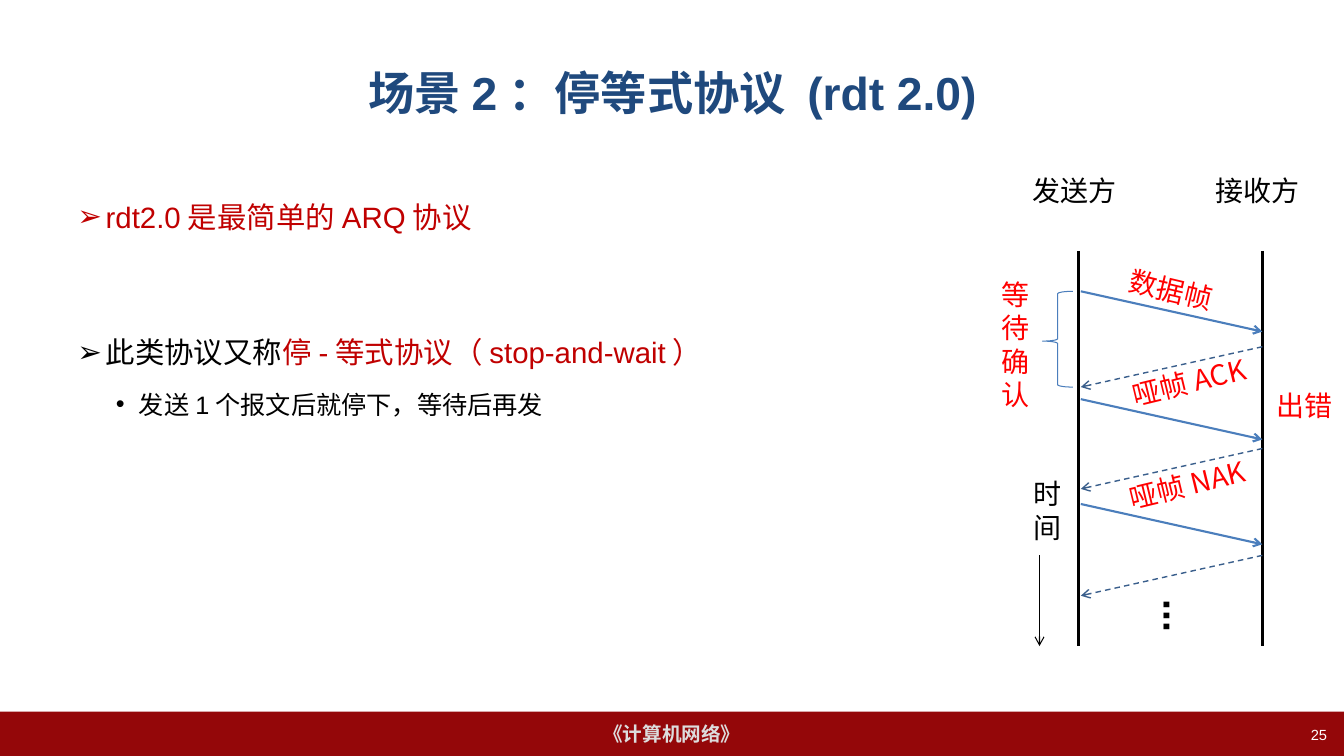
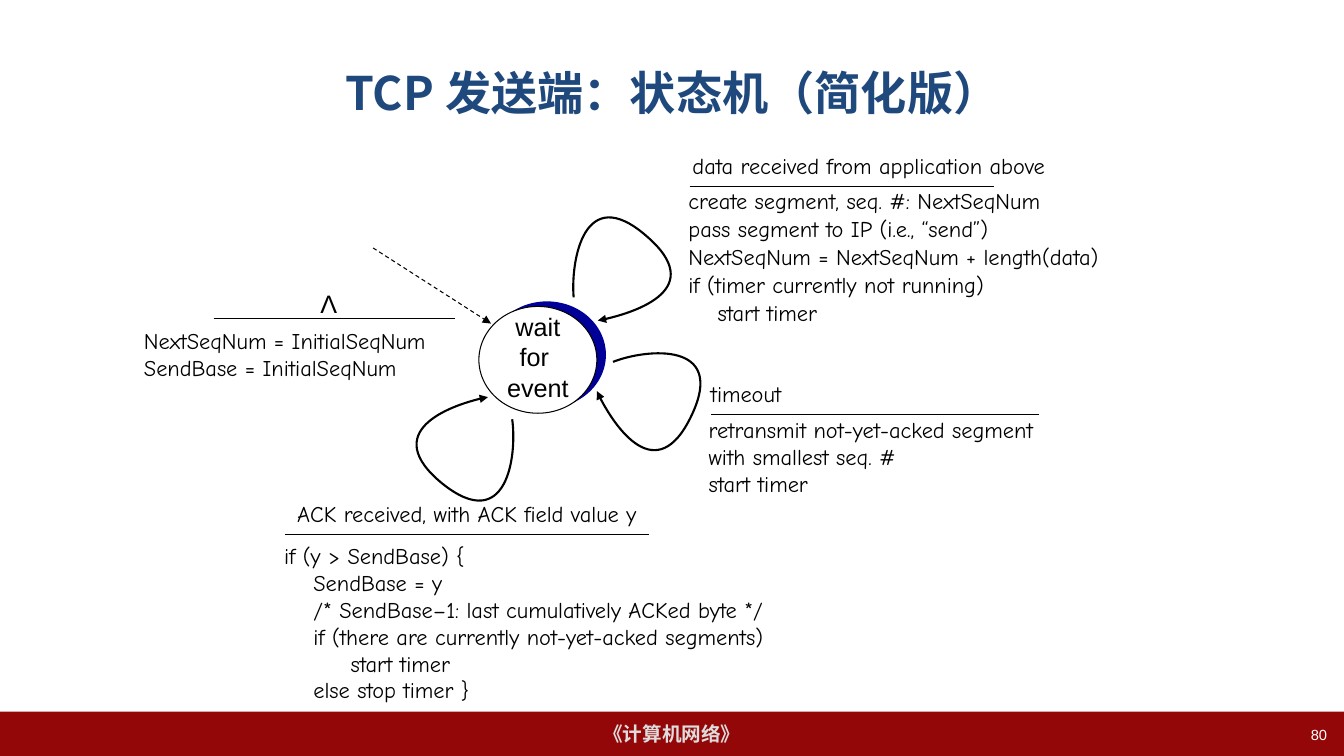
from typing import NamedTuple

from lxml import etree
from pptx import Presentation
from pptx.dml.color import RGBColor
from pptx.enum.dml import MSO_LINE
from pptx.enum.shapes import MSO_CONNECTOR, MSO_SHAPE
from pptx.enum.text import MSO_ANCHOR, PP_ALIGN
from pptx.oxml.ns import qn
from pptx.util import Inches, Pt

LEFT, CENTER, RIGHT = PP_ALIGN.LEFT, PP_ALIGN.CENTER, PP_ALIGN.RIGHT
TOP, MIDDLE = MSO_ANCHOR.TOP, MSO_ANCHOR.MIDDLE
DASH = MSO_LINE.DASH
RECT, OVAL, BRACE = MSO_SHAPE.RECTANGLE, MSO_SHAPE.OVAL, MSO_SHAPE.LEFT_BRACE

BLACK = RGBColor(0x00, 0x00, 0x00)
WHITE = RGBColor(0xFF, 0xFF, 0xFF)
MAROON = RGBColor(0x94, 0x07, 0x09)
SILVER = RGBColor(0xDD, 0xDD, 0xDD)
NAVY = RGBColor(0x1F, 0x49, 0x7D)
CRIMSON = RGBColor(0xC0, 0x00, 0x00)
RED = RGBColor(0xFF, 0x00, 0x00)
BLUE = RGBColor(0x4B, 0x7E, 0xBC)
STEEL = RGBColor(0x3A, 0x5F, 0x8C)
INDIGO = RGBColor(0x00, 0x00, 0x99)

ARIAL, COMIC, CJK = "Arial", "Comic Neue", "Noto Sans CJK SC"


class Box(NamedTuple):
    """A region on a grid of one-inch columns and rows."""
    x: float
    y: float
    w: float
    h: float

    def sub(self, dx, dy, w, h):
        return Box(self.x + dx, self.y + dy, w, h)

    def point(self, dx, dy):
        return self.x + dx, self.y + dy

    def emu(self):
        return [Inches(v) for v in self]


SLIDE = Box(0, 0, 13.33, 7.5)


class Para(NamedTuple):
    """Runs are (text, colour) pairs; a plain string is one run."""
    runs: object
    indent: float = 0
    hang: float = 0
    bullet: str = ""
    size: float = 0
    before: float = 0


def add_run(p, text, size, font, color, bold):
    r = p.add_run()
    r.text = text
    r.font.size, r.font.bold, r.font.name = Pt(size), bold, font
    r.font.color.rgb = color
    ea = etree.SubElement(r.font._element, qn("a:ea"))
    ea.set("typeface", CJK)


def write(shape, content, size=18, font=ARIAL, color=BLACK, bold=False,
          align=LEFT, anchor=TOP, spacing=None):
    """Fill a shape with one string or a list of strings and Para items."""
    tf = shape.text_frame
    tf.word_wrap, tf.vertical_anchor = True, anchor
    items = [content] if isinstance(content, str) else content
    for i, item in enumerate(items):
        para = Para(item) if isinstance(item, str) else item
        p = tf.add_paragraph() if i else tf.paragraphs[0]
        p.alignment = align
        if spacing:
            p.line_spacing = spacing
        if para.before:
            p.space_before = Pt(para.before)
        pPr = p._p.get_or_add_pPr()
        if para.indent:
            pPr.set("marL", str(Inches(para.indent)))
            pPr.set("indent", str(-Inches(para.hang)))
        if para.bullet:
            etree.SubElement(pPr, qn("a:buFont")).set("typeface", ARIAL)
            etree.SubElement(pPr, qn("a:buChar")).set("char", para.bullet)
        runs = [(para.runs, color)] if isinstance(para.runs, str) else para.runs
        for text, run_color in runs:
            add_run(p, text, para.size or size, font, run_color, bold)


def add_text(s, box, content, rotation=0, **fmt):
    tb = s.shapes.add_textbox(*box.emu())
    tb.rotation = rotation
    write(tb, content, **fmt)
    return tb


def add_shape(s, kind, box, fill=None, line=None):
    sp = s.shapes.add_shape(kind, *box.emu())
    sp.shadow.inherit = False
    if fill is None:
        sp.fill.background()
    else:
        sp.fill.solid()
        sp.fill.fore_color.rgb = fill
    if line is None:
        sp.line.fill.background()
    else:
        sp.line.color.rgb, sp.line.width = line, Pt(0.75)
    return sp


def style_line(line, color, width, dash=None, head=None):
    line.color.rgb, line.width = color, Pt(width)
    if dash:
        line.dash_style = dash
    if head:
        ln = line._get_or_add_ln()
        etree.SubElement(ln, qn("a:tailEnd")).set("type", head)


def add_line(s, start, end, color=BLACK, width=0.75, dash=None, head=None):
    ends = [Inches(v) for v in (*start, *end)]
    c = s.shapes.add_connector(MSO_CONNECTOR.STRAIGHT, *ends)
    style_line(c.line, color, width, dash, head)
    etree.SubElement(c._element.spPr, qn("a:effectLst"))


def add_loop(s, points):
    """Draw an arrow along joined cubic curves, three points to each."""
    start, *rest = [(Inches(x), Inches(y)) for x, y in points]
    fb = s.shapes.build_freeform(*start)
    fb.add_line_segments(rest, close=False)
    sp = fb.convert_to_shape()
    segments = list(sp._element.iter(qn("a:lnTo")))
    outline = segments[0].getparent()
    for i in range(0, len(segments), 3):
        curve = etree.SubElement(outline, qn("a:cubicBezTo"))
        for segment in segments[i:i + 3]:
            curve.append(segment[0])
            outline.remove(segment)
    sp.shadow.inherit = False
    sp.fill.background()
    style_line(sp.line, BLACK, 1.5, head="triangle")


def new_slide(prs, title, number, title_font=ARIAL):
    s = prs.slides.add_slide(prs.slide_layouts[6])
    band = add_shape(s, RECT, SLIDE.sub(0, 7.06, SLIDE.w, 0.44), MAROON)
    write(band, "《计算机网络》", size=14, color=SILVER, bold=True,
          align=CENTER, anchor=MIDDLE)
    add_text(s, SLIDE.sub(0.67, 0.3, 12, 1.23), title, size=33, bold=True,
             font=title_font, color=NAVY, align=CENTER, anchor=MIDDLE)
    add_text(s, SLIDE.sub(10.15, 7.15, 3.11, 0.35), number, size=10.5,
             color=WHITE, align=RIGHT)
    return s


def protocol_points(s, box):
    top = dict(indent=0.28, hang=0.28, bullet="➢")
    add_text(s, box, [
        Para("rdt2.0是最简单的ARQ协议", **top),
        Para([("此类协议又称", BLACK), ("停-等式协议（stop-and-wait）", CRIMSON)],
             before=59, **top),
        Para([("发送1个报文后就停下，等待后再发", BLACK)],
             indent=0.61, hang=0.23, bullet="•", size=18, before=3),
    ], size=21, color=CRIMSON, spacing=1.5)


def sequence_diagram(s, box):
    """Sender and receiver lifelines with the frames exchanged over time."""
    sender, receiver, top, bottom = 0.87, 2.69, 0.82, 4.74
    for x, name in ((sender, "发送方"), (receiver, "接收方")):
        add_line(s, box.point(x, top), box.point(x, bottom), width=2)
        add_text(s, box.sub(x - 0.56, 0, 1.2, 0.43), name, size=20, font=CJK)
    for sent, reply in ((1.22, 1.77), (2.29, 2.78), (3.33, 3.84)):
        add_line(s, box.point(sender + 0.02, sent),
                 box.point(receiver, sent + 0.4), BLUE, 1.5, head="arrow")
        add_line(s, box.point(receiver, reply),
                 box.point(sender + 0.02, reply + 0.4), STEEL, 1, DASH, "arrow")
    for text, part, turn, color in (
            ("数据帧", (1.27, 0.99, 1.04, 0.43), 13.3, RED),
            ("哑帧ACK", (1.29, 1.89, 1.47, 0.43), 346.4, RED),
            ("哑帧NAK", (1.26, 2.91, 1.47, 0.43), 346.4, RED),
            ("等待确认", (0, 1.03, 0.48, 1.3), 0, RED),
            ("出错", (2.73, 2.14, 1.04, 0.43), 0, RED),
            ("时间", (0.32, 3.01, 0.36, 0.83), 0, BLACK)):
        add_text(s, box.sub(*part), text, turn, size=20, font=CJK, color=color)
    add_line(s, box.point(0.48, 3.84), box.point(0.48, bottom), head="arrow")
    brace = add_shape(s, BRACE, box.sub(0.51, 1.22, 0.3, 0.95), line=BLUE)
    brace.adjustments[0], brace.adjustments[1] = 0.08, 0.52
    dots = add_text(s, box.sub(1.48, 4.18, 0.67, 0.56), "...", size=28, bold=True)
    dots.text_frame._txBody.bodyPr.set("vert", "eaVert")


def state_node(s, box):
    """A state with its shadow disc, its entry arrow and three loops."""
    add_shape(s, OVAL, box.sub(0.09, -0.05, box.w, box.h), INDIGO)
    add_shape(s, OVAL, box, WHITE, BLACK)
    add_text(s, box.sub(0.18, 0, 0.81, 1), ["wait", "for ", "event"], align=CENTER)
    add_line(s, box.point(-1.05, -0.58), box.point(0.12, 0.17),
             dash=DASH, head="triangle")
    for loop in (
            ((0.94, -0.09), (0.91, -0.45), (1.04, -1.24), (1.66, -0.7),
             (2.28, -0.17), (1.43, 0.1), (1.18, 0.14)),
            ((1.33, 0.55), (1.66, 0.42), (2.46, 0.34), (2.11, 1.08),
             (1.76, 1.82), (1.27, 1.08), (1.17, 0.84)),
            ((0.33, 1.12), (0.38, 1.48), (0.28, 2.27), (-0.36, 1.76),
             (-1, 1.24), (-0.17, 0.94), (0.09, 0.9))):
        add_loop(s, [box.point(*p) for p in loop])


def transition(s, box, event, actions, event_at=(-0.1, -0.39),
               actions_at=(-0.12, 0), width=5.6, spacing=None, size=16,
               font=COMIC):
    """An event above a rule along the top of the box, its actions below."""
    add_text(s, box.sub(*event_at, 4.5, 0.37), event, size=size, font=font)
    add_line(s, box.point(0, 0), box.point(box.w, 0))
    add_text(s, box.sub(*actions_at, width, box.h), actions,
             size=16, font=COMIC, spacing=spacing)


def build_protocol_slide(prs):
    s = new_slide(prs, "场景2：停等式协议 (rdt 2.0)", "25")
    protocol_points(s, SLIDE.sub(0.67, 1.75, 9, 4.95))
    sequence_diagram(s, SLIDE.sub(9.83, 1.67, 3.5, 4.74))


def build_state_slide(prs):
    s = new_slide(prs, "TCP发送端：状态机（简化版）", "80", CJK)
    state_node(s, SLIDE.sub(4.75, 3.04, 1.17, 1.06))
    transition(s, SLIDE.sub(2.12, 3.16, 2.39, 0.64), "Λ",
               ["NextSeqNum = InitialSeqNum", "SendBase = InitialSeqNum"],
               event_at=(0.96, -0.35), actions_at=(-0.79, 0.04),
               size=18, font=ARIAL)
    transition(s, SLIDE.sub(6.84, 1.85, 3.02, 1.5),
               "data received from application above",
               ["create segment, seq. #: NextSeqNum",
                "pass segment to IP (i.e., “send”)",
                "NextSeqNum = NextSeqNum + length(data)",
                "if (timer currently not running)",
                Para("start timer", 0.29)],
               event_at=(-0.07, -0.39), actions_at=(-0.11, -0.06), spacing=1.05)
    transition(s, SLIDE.sub(7.05, 4.11, 3.26, 0.91), "timeout",
               ["retransmit not-yet-acked segment with smallest seq. #",
                "start timer"],
               actions_at=(-0.12, -0.03), width=3.6)
    transition(s, SLIDE.sub(2.83, 5.3, 3.61, 1.72),
               "ACK received, with ACK field value y",
               ["if (y > SendBase) {",
                Para("SendBase = y", 0.29),
                Para("/* SendBase–1: last cumulatively ACKed byte */", 0.29),
                Para("if (there are currently not-yet-acked segments)", 0.29),
                Para("start timer", 0.66),
                Para("else stop timer }", 0.29)],
               event_at=(0.02, -0.39), actions_at=(-0.11, 0.03))


def main():
    prs = Presentation()
    prs.slide_width, prs.slide_height = Inches(SLIDE.w), Inches(SLIDE.h)
    build_protocol_slide(prs)
    build_state_slide(prs)
    prs.save("out.pptx")


if __name__ == "__main__":
    main()
